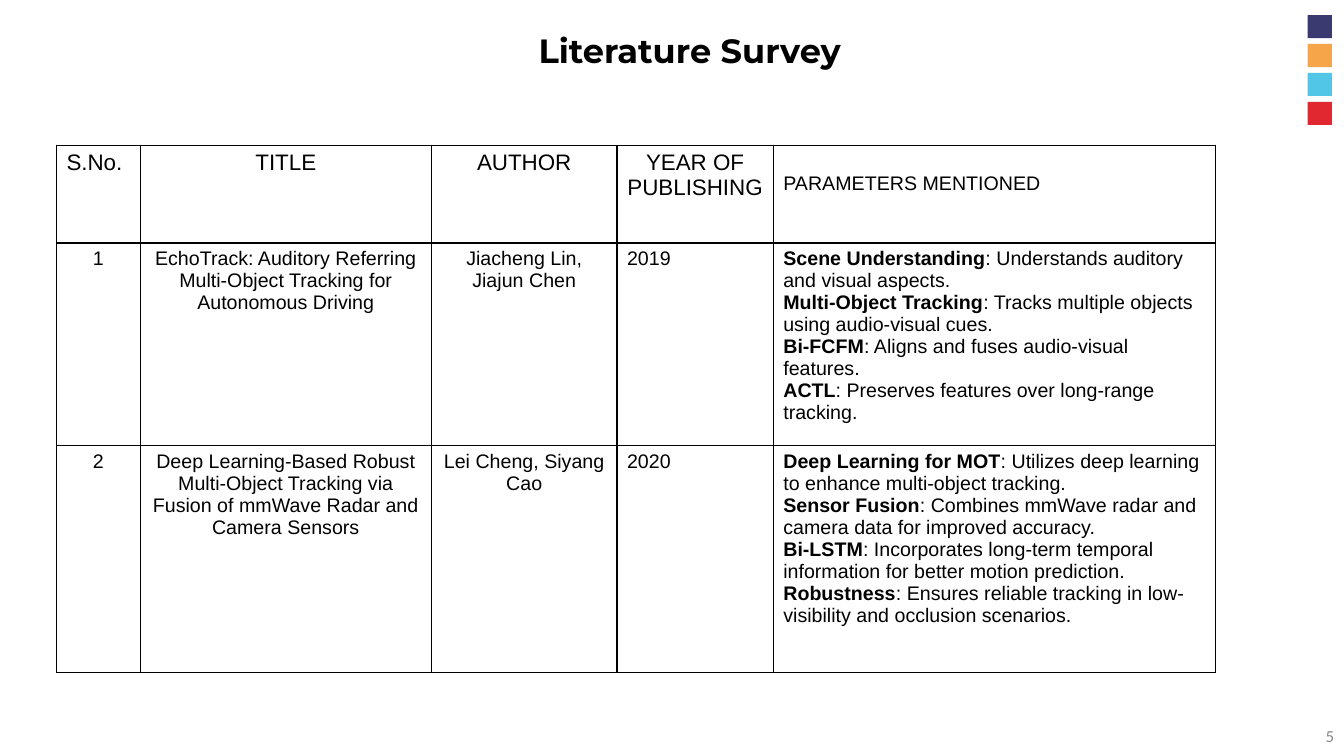
from lxml.etree import SubElement
from pptx import Presentation
from pptx.dml.color import RGBColor
from pptx.enum.shapes import MSO_SHAPE as Shape
from pptx.enum.text import MSO_ANCHOR as Anchor, MSO_AUTO_SIZE as AutoSize, PP_ALIGN as Align
from pptx.oxml.ns import qn
from pptx.util import Inches, Pt

# Content
TITLE = "Literature Survey"
PAGE_NUMBER = "5"
HEADERS = ["S.No.", "TITLE", "AUTHOR", "YEAR OF PUBLISHING", "PARAMETERS MENTIONED"]
PAPERS = [
    ("1", "EchoTrack: Auditory Referring Multi-Object Tracking for Autonomous Driving",
     "Jiacheng Lin, Jiajun Chen", "2019", [
         ("Scene Understanding", "Understands auditory and visual aspects."),
         ("Multi-Object Tracking", "Tracks multiple objects using audio-visual cues."),
         ("Bi-FCFM", "Aligns and fuses audio-visual features."),
         ("ACTL", "Preserves features over long-range tracking."),
     ]),
    ("2", "Deep Learning-Based Robust Multi-Object Tracking via Fusion of mmWave Radar "
     "and Camera Sensors", "Lei Cheng, Siyang Cao", "2020", [
         ("Deep Learning for MOT", "Utilizes deep learning to enhance multi-object tracking."),
         ("Sensor Fusion", "Combines mmWave radar and camera data for improved accuracy."),
         ("Bi-LSTM", "Incorporates long-term temporal information for better motion prediction."),
         ("Robustness", "Ensures reliable tracking in low-visibility and occlusion scenarios."),
     ]),
]

# Style and grid, in inches and points
COLORS = {"navy": "3A3A70", "orange": "F7A54B", "sky": "51C6E7", "red": "E12730",
          "text": "000000", "border": "000000", "page": "888888"}
SWATCHES = ["navy", "orange", "sky", "red"]
SWATCH_LEFT, SWATCH_TOP, SWATCH_STEP = 12.97, 0.15, 0.86 / 3
SWATCH_SIZE = (0.24, 0.23)
TABLE_LEFT, TABLE_TOP = 0.56, 1.44
COLUMN_WIDTHS = [0.83, 2.89, 1.84, 1.55, 4.39]
ROW_HEIGHTS = [0.97, 2.01, 2.25]
HEADER_SIZES = [16, 16, 16, 16, 14]
HEADER_ALIGNS = [Align.LEFT, Align.CENTER, Align.CENTER, Align.CENTER, Align.LEFT]
BODY_ALIGNS = [Align.CENTER, Align.CENTER, Align.CENTER, Align.LEFT, Align.LEFT]
BODY_SIZE = 14
LAST_HEADER_MARGIN = 0.27


def color(name):
    return RGBColor.from_string(COLORS[name])


def style(paragraph, font_name, size, align, color_name="text", bold=None):
    paragraph.alignment = align
    font = paragraph.font
    font.name, font.size, font.bold = font_name, Pt(size), bold
    font.color.rgb = color(color_name)


def add_borders(cell):
    properties = cell._tc.get_or_add_tcPr()
    for index, side in enumerate(("lnL", "lnR", "lnT", "lnB")):
        line = properties.makeelement(qn(f"a:{side}"), {"w": str(Pt(1))})
        fill = SubElement(line, qn("a:solidFill"))
        SubElement(fill, qn("a:srgbClr"), val=COLORS["border"])
        properties.insert(index, line)


def fill_cell(cell, content, size, align):
    cell.fill.background()
    add_borders(cell)
    frame = cell.text_frame
    if isinstance(content, str):
        frame.text = content
    else:
        for index, (term, meaning) in enumerate(content):
            paragraph = frame.add_paragraph() if index else frame.paragraphs[0]
            for text, bold in ((term, True), (f": {meaning}", False)):
                run = paragraph.add_run()
                run.text, run.font.bold = text, bold
    for paragraph in frame.paragraphs:
        style(paragraph, "Arial", size, align)


presentation = Presentation()
presentation.slide_width, presentation.slide_height = Inches(13.33), Inches(7.5)
slide = presentation.slides.add_slide(presentation.slide_layouts[5])

# Title
title = slide.shapes.title
title.left, title.top, title.width, title.height = map(Inches, (1.09, 0.25, 11.5, 0.54))
title.text_frame.text = TITLE
title.text_frame.auto_size = AutoSize.NONE
title.text_frame.vertical_anchor = Anchor.TOP
style(title.text_frame.paragraphs[0], "Montserrat", 24, Align.CENTER, bold=True)

# Corner swatches
for index, name in enumerate(SWATCHES):
    swatch = slide.shapes.add_shape(
        Shape.RECTANGLE, Inches(SWATCH_LEFT), Inches(SWATCH_TOP + index * SWATCH_STEP),
        *map(Inches, SWATCH_SIZE))
    swatch.shadow.inherit = False
    swatch.fill.solid()
    swatch.fill.fore_color.rgb = color(name)
    swatch.line.fill.background()

# Survey table
table = slide.shapes.add_table(
    len(ROW_HEIGHTS), len(COLUMN_WIDTHS), Inches(TABLE_LEFT), Inches(TABLE_TOP),
    Inches(sum(COLUMN_WIDTHS)), Inches(sum(ROW_HEIGHTS))).table
table.first_row = table.horz_banding = False
for column, width in zip(table.columns, COLUMN_WIDTHS):
    column.width = Inches(width)
for row, height in zip(table.rows, ROW_HEIGHTS):
    row.height = Inches(height)
for index, header in enumerate(HEADERS):
    fill_cell(table.cell(0, index), header, HEADER_SIZES[index], HEADER_ALIGNS[index])
table.cell(0, len(HEADERS) - 1).margin_top = Inches(LAST_HEADER_MARGIN)
for row_index, paper in enumerate(PAPERS, start=1):
    for index, content in enumerate(paper):
        fill_cell(table.cell(row_index, index), content, BODY_SIZE, BODY_ALIGNS[index])

# Page number
page_box = slide.shapes.add_textbox(*map(Inches, (10.33, 7.1, 3, 0.4)))
page_box.text_frame.word_wrap = True
page_box.text_frame.vertical_anchor = Anchor.MIDDLE
page_box.text_frame.text = PAGE_NUMBER
style(page_box.text_frame.paragraphs[0], "Calibri", 12, Align.RIGHT, "page")

presentation.save("out.pptx")
